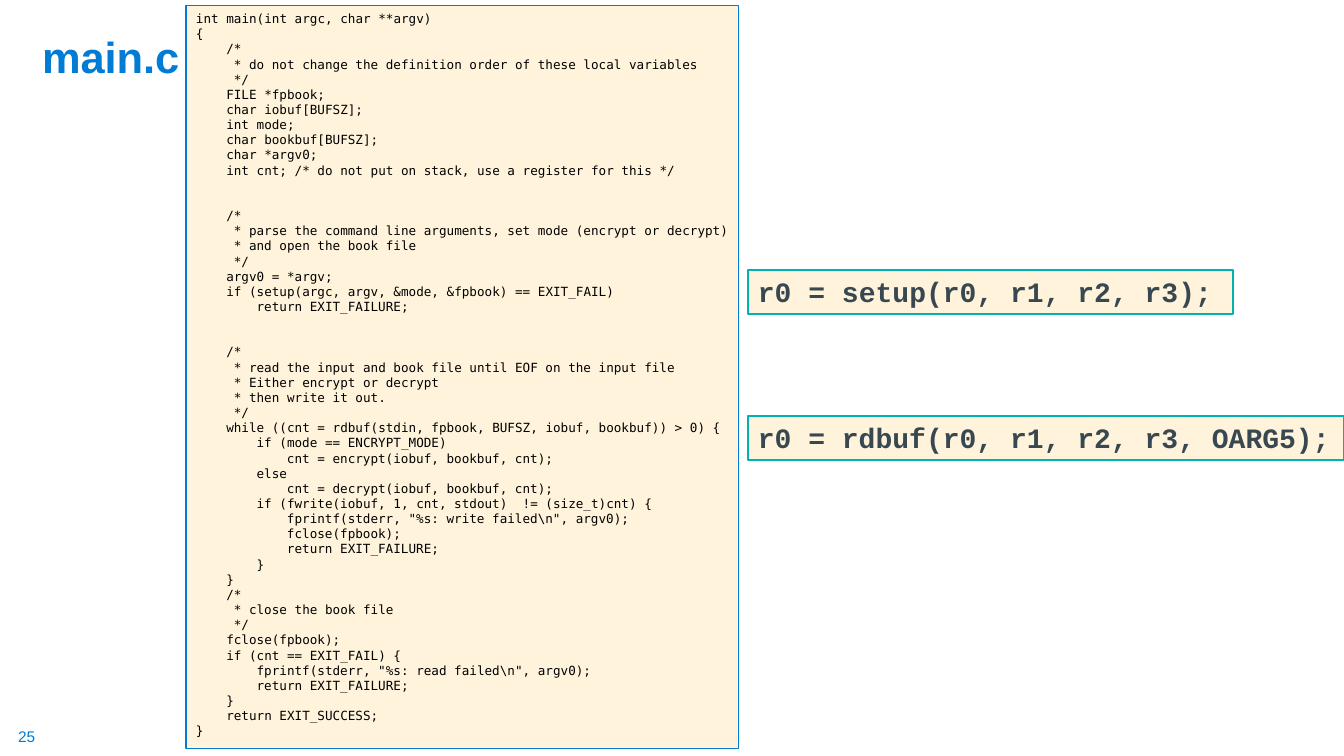
"""Builds the main.c code walkthrough slide."""
import pptx
import pptx.dml.color
import pptx.enum.shapes
import pptx.enum.text
import pptx.util

EMU_PER_PX = 12192000 / 1344
BLUE, TEAL, SLATE, CREAM = "007CD5", "00B2B1", "384851", "FFF4DB"
CODE_SIZE = 9
CODE_CHARACTER_WIDTH = 5.42
CODE_GAP = 21.6

CODE_BLOCKS = [
    r"""int main(int argc, char **argv)
{
    /*
     * do not change the definition order of these local variables
     */
    FILE *fpbook;
    char iobuf[BUFSZ];
    int mode;
    char bookbuf[BUFSZ];
    char *argv0;
    int cnt; /* do not put on stack, use a register for this */""",
    r"""    /*
     * parse the command line arguments, set mode (encrypt or decrypt)
     * and open the book file
     */
    argv0 = *argv;
    if (setup(argc, argv, &mode, &fpbook) == EXIT_FAIL)
        return EXIT_FAILURE;""",
    r"""    /*
     * read the input and book file until EOF on the input file
     * Either encrypt or decrypt
     * then write it out.
     */
    while ((cnt = rdbuf(stdin, fpbook, BUFSZ, iobuf, bookbuf)) > 0) {
        if (mode == ENCRYPT_MODE)
            cnt = encrypt(iobuf, bookbuf, cnt);
        else
            cnt = decrypt(iobuf, bookbuf, cnt);
        if (fwrite(iobuf, 1, cnt, stdout)  != (size_t)cnt) {
            fprintf(stderr, "%s: write failed\n", argv0);
            fclose(fpbook);
            return EXIT_FAILURE;
        }
    }
    /*
     * close the book file
     */
    fclose(fpbook);
    if (cnt == EXIT_FAIL) {
        fprintf(stderr, "%s: read failed\n", argv0);
        return EXIT_FAILURE;
    }
    return EXIT_SUCCESS;
}""",
]


def px(length):
    """Turn a length in px into EMU."""
    return pptx.util.Emu(round(length * EMU_PER_PX))


def color(value):
    """Turn a hex string into a colour."""
    return pptx.dml.color.RGBColor.from_string(value)


def write(paragraph, text, *, size, font="Arial", fill="000000", bold=False,
          indent=0, before=0, spacing=1.0):
    """Fill a paragraph with formatted, left-aligned text."""
    paragraph.alignment = pptx.enum.text.PP_ALIGN.LEFT
    paragraph.line_spacing = spacing
    paragraph.space_before = pptx.util.Pt(before)
    if indent:
        paragraph._p.get_or_add_pPr().set("marL", str(int(pptx.util.Pt(indent))))
    run = paragraph.add_run()
    run.text = text
    run.font.size = pptx.util.Pt(size)
    run.font.name = font
    run.font.bold = bold
    run.font.color.rgb = color(fill)


def add_title(slide, text):
    """Place and format the title placeholder."""
    title = slide.shapes.title
    title.left, title.top, title.width, title.height = map(px, (32, 9, 1159, 79))
    frame = title.text_frame
    frame.auto_size = pptx.enum.text.MSO_AUTO_SIZE.NONE
    frame.vertical_anchor = pptx.enum.text.MSO_ANCHOR.BOTTOM
    write(frame.paragraphs[0], text, size=31, fill=BLUE, bold=True, spacing=0.9)


def add_slide_number(slide, text):
    """Add the page number in the lower left corner."""
    frame = slide.shapes.add_textbox(*map(px, (18, 727, 19, 19))).text_frame
    frame.margin_left = frame.margin_right = frame.margin_top = frame.margin_bottom = 0
    frame.word_wrap = False
    write(frame.paragraphs[0], text, size=11, fill=BLUE)


def add_panel(slide, box, line, line_width, wrap):
    """Add a cream outlined rectangle and return its text frame."""
    panel = slide.shapes.add_shape(
        pptx.enum.shapes.MSO_SHAPE.RECTANGLE, *map(px, box))
    panel.shadow.inherit = False
    panel.fill.solid()
    panel.fill.fore_color.rgb = color(CREAM)
    panel.line.color.rgb = color(line)
    panel.line.width = pptx.util.Pt(line_width)
    frame = panel.text_frame
    frame.word_wrap = wrap
    frame.vertical_anchor = pptx.enum.text.MSO_ANCHOR.TOP
    return frame


def add_code(slide, box, blocks):
    """Add the listing, with indents and block gaps as paragraph format."""
    frame = add_panel(slide, box, BLUE, 0.75, False)
    paragraph = frame.paragraphs[0]
    for block_index, block in enumerate(blocks):
        for line_index, line in enumerate(block.splitlines()):
            if block_index or line_index:
                paragraph = frame.add_paragraph()
            text = line.lstrip(" ")
            write(paragraph, text, size=CODE_SIZE, font="DejaVu Sans Mono",
                  indent=(len(line) - len(text)) * CODE_CHARACTER_WIDTH,
                  before=CODE_GAP if block_index and not line_index else 0)


def add_call(slide, top, width, text):
    """Add a register-level call beside the listing."""
    frame = add_panel(slide, (748, top, width, 44), TEAL, 1.75, True)
    write(frame.paragraphs[0], text, size=20, font="Courier New", fill=SLATE, bold=True)


def main():
    """Build and save the slide."""
    presentation = pptx.Presentation()
    presentation.slide_width, presentation.slide_height = px(1344), px(756)
    slide = presentation.slides.add_slide(presentation.slide_layouts[5])
    add_slide_number(slide, "25")
    add_title(slide, "main.c")
    add_code(slide, (186, 6, 553, 743), CODE_BLOCKS)
    add_call(slide, 270, 485, "r0 = setup(r0, r1, r2, r3);")
    add_call(slide, 416, 596, "r0 = rdbuf(r0, r1, r2, r3, OARG5);")
    presentation.save("out.pptx")


if __name__ == "__main__":
    main()
